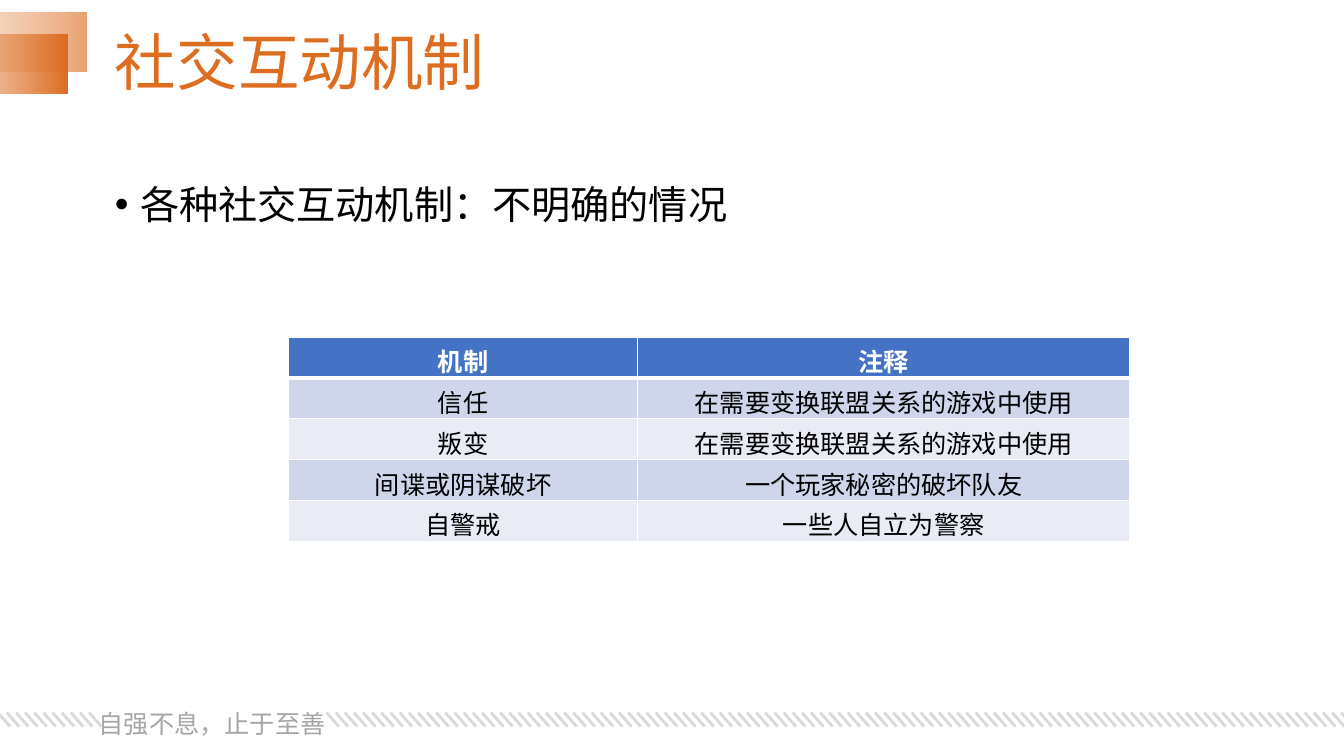
"""Build the slide on social interaction mechanics."""
from dataclasses import dataclass

from lxml.etree import SubElement
from pptx import Presentation
from pptx.dml.color import RGBColor
from pptx.enum.shapes import MSO_CONNECTOR as CONN, MSO_SHAPE as SHAPE
from pptx.enum.text import MSO_ANCHOR as ANCHOR, MSO_AUTO_SIZE as AUTO, PP_ALIGN as ALIGN
from pptx.oxml.ns import qn
from pptx.util import Pt


@dataclass(frozen=True)
class Theme:
    orange: str = "DD6D21"
    peach: str = "EAA372"
    white: str = "FFFFFF"
    black: str = "000000"
    hatch: str = "D9D9D9"
    motto: str = "A6A6A6"
    header: str = "4472C4"
    bands: tuple = ("CFD5EA", "E9EBF5")
    font: str = "Noto Sans CJK SC"
    motto_font: str = "Noto Sans CJK JP"
    title_size: int = 44
    body_size: int = 28
    small_size: int = 18


T = Theme()
ROWS = [
    ("机制", "注释"),
    ("信任", "在需要变换联盟关系的游戏中使用"),
    ("叛变", "在需要变换联盟关系的游戏中使用"),
    ("间谍或阴谋破坏", "一个玩家秘密的破坏队友"),
    ("自警戒", "一些人自立为警察"),
]


def write(tf, text, size=T.small_size, color=T.black, font=T.font, bold=False,
          align=ALIGN.LEFT, spacing=1.0, bullet=None):
    p = tf.paragraphs[0]
    if bullet:
        pPr = p._p.get_or_add_pPr()
        pPr.set("marL", str(Pt(18)))
        pPr.set("indent", str(-Pt(18)))
        SubElement(pPr, qn("a:buFont"), typeface="Arial")
        SubElement(pPr, qn("a:buChar"), char=bullet)
    p.alignment = align
    p.line_spacing = spacing
    r = p.add_run()
    r.text = text
    r.font.size = Pt(size)
    r.font.bold = bold
    r.font.color.rgb = RGBColor.from_string(color)
    r.font.name = font
    SubElement(r._r.get_or_add_rPr(), qn("a:ea"), typeface=font)


def add_text(s, box, text, anchor=ANCHOR.TOP, auto_size=AUTO.NONE, **fmt):
    tf = s.shapes.add_textbox(*map(Pt, box)).text_frame
    tf.word_wrap = True
    tf.auto_size = auto_size
    tf.vertical_anchor = anchor
    write(tf, text, **fmt)


def add_fading_block(s, left, top, color, start_alpha):
    sp = s.shapes.add_shape(SHAPE.RECTANGLE, Pt(left), Pt(top), Pt(176.4), Pt(42))
    sp.shadow.inherit = False
    sp.line.fill.background()
    sp.fill.gradient()
    sp.fill.gradient_angle = 0
    for stop, position, rgb in zip(sp.fill.gradient_stops, (0, 1), (T.white, color)):
        stop.position = position
        stop.color.rgb = RGBColor.from_string(rgb)
    first = sp._element.spPr.find(".//" + qn("a:srgbClr"))
    SubElement(first, qn("a:alpha"), val=str(start_alpha * 1000))


def add_hatching(s, left, count, pitch=6.53):
    group = s.shapes.add_group_shape()
    for i in range(count):
        x = left + i * pitch
        line = group.shapes.add_connector(CONN.STRAIGHT, Pt(x), Pt(509), Pt(x + 8.8), Pt(519))
        line.line.color.rgb = RGBColor.from_string(T.hatch)
        line.line.width = Pt(2)
        SubElement(line._element.spPr, qn("a:effectLst"))


def set_borders(cell, top=1, bottom=1):
    tcPr = cell._tc.get_or_add_tcPr()
    for side, width in (("L", 1), ("R", 1), ("T", top), ("B", bottom)):
        ln = SubElement(tcPr, qn("a:ln" + side), w=str(Pt(width)))
        SubElement(SubElement(ln, qn("a:solidFill")), qn("a:srgbClr"), val=T.white)


def add_mechanics_table(s, left, top, widths, row_height):
    frame = s.shapes.add_table(len(ROWS), len(widths), Pt(left), Pt(top),
                               Pt(sum(widths)), Pt(row_height * len(ROWS)))
    table = frame.table
    table.horz_banding = False
    for column, width in zip(table.columns, widths):
        column.width = Pt(width)
    for i, texts in enumerate(ROWS):
        table.rows[i].height = Pt(row_height)
        head = i == 0
        for j, text in enumerate(texts):
            cell = table.cell(i, j)
            set_borders(cell, top=3 if i == 1 else 1, bottom=3 if head else 1)
            cell.fill.solid()
            fill = T.header if head else T.bands[(i - 1) % 2]
            cell.fill.fore_color.rgb = RGBColor.from_string(fill)
            write(cell.text_frame, text, bold=head, align=ALIGN.CENTER,
                  color=T.white if head else T.black)


def main():
    prs = Presentation()
    prs.slide_width, prs.slide_height = Pt(960), Pt(540)
    s = prs.slides.add_slide(prs.slide_layouts[6])
    add_fading_block(s, -114.6, 9, T.peach, 25)
    add_fading_block(s, -128.3, 24.5, T.orange, 0)
    add_hatching(s, -1.6, 11)
    add_text(s, (63.4, 491.8, 177.3, 37.4), "自强不息，止于至善", auto_size=AUTO.SHAPE_TO_FIT_TEXT,
             color=T.motto, font=T.motto_font, align=ALIGN.JUSTIFY, spacing=1.5)
    add_hatching(s, 233.3, 112)
    add_text(s, (75, 8, 828, 77), "社交互动机制", anchor=ANCHOR.MIDDLE,
             size=T.title_size, color=T.orange, spacing=0.9)
    add_text(s, (75, 129, 828, 348.5), "各种社交互动机制：不明确的情况",
             size=T.body_size, spacing=0.9, bullet="•")
    add_mechanics_table(s, 206.2, 240.8, (249.2, 351.6), 29.2)
    prs.save("out.pptx")


if __name__ == "__main__":
    main()
